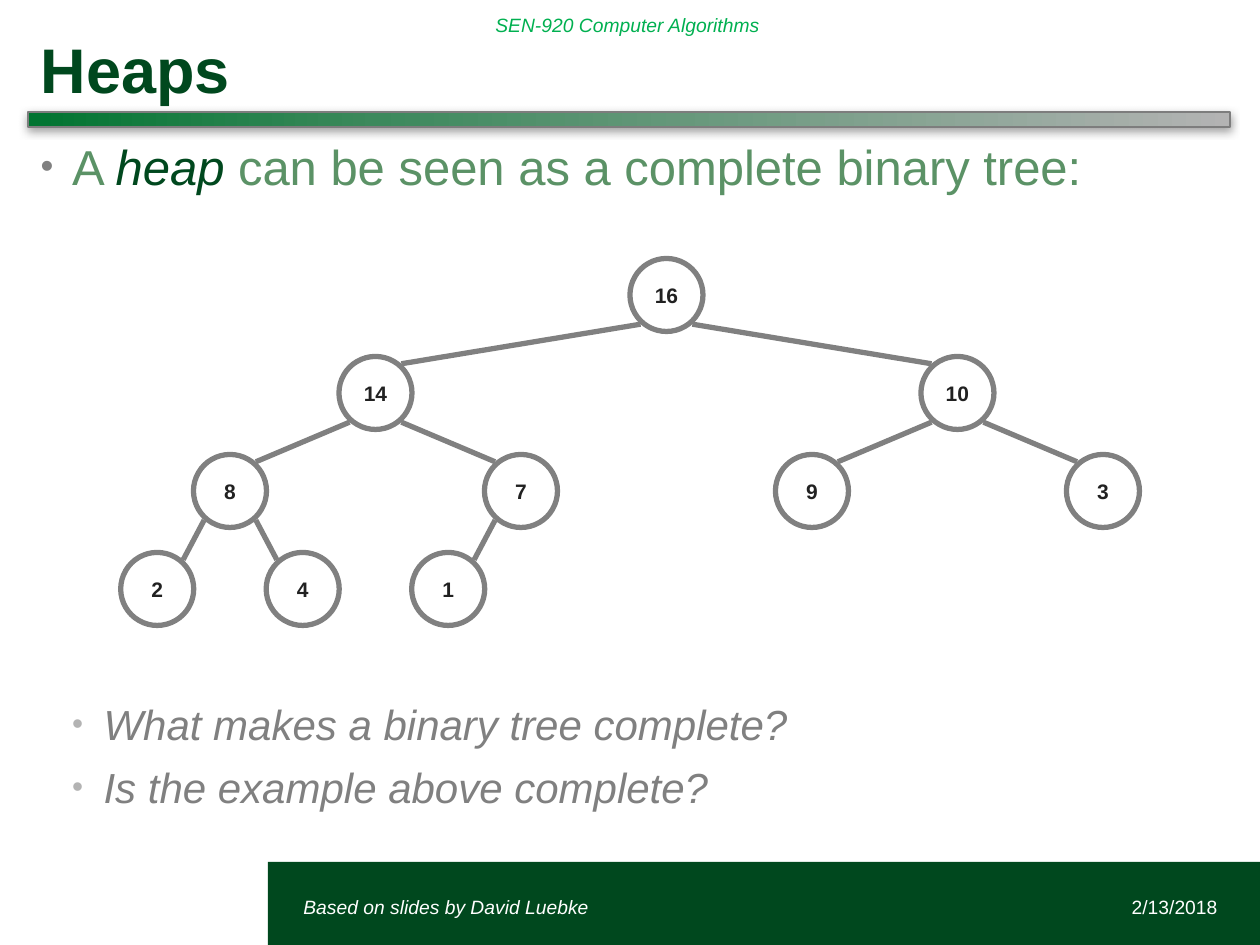
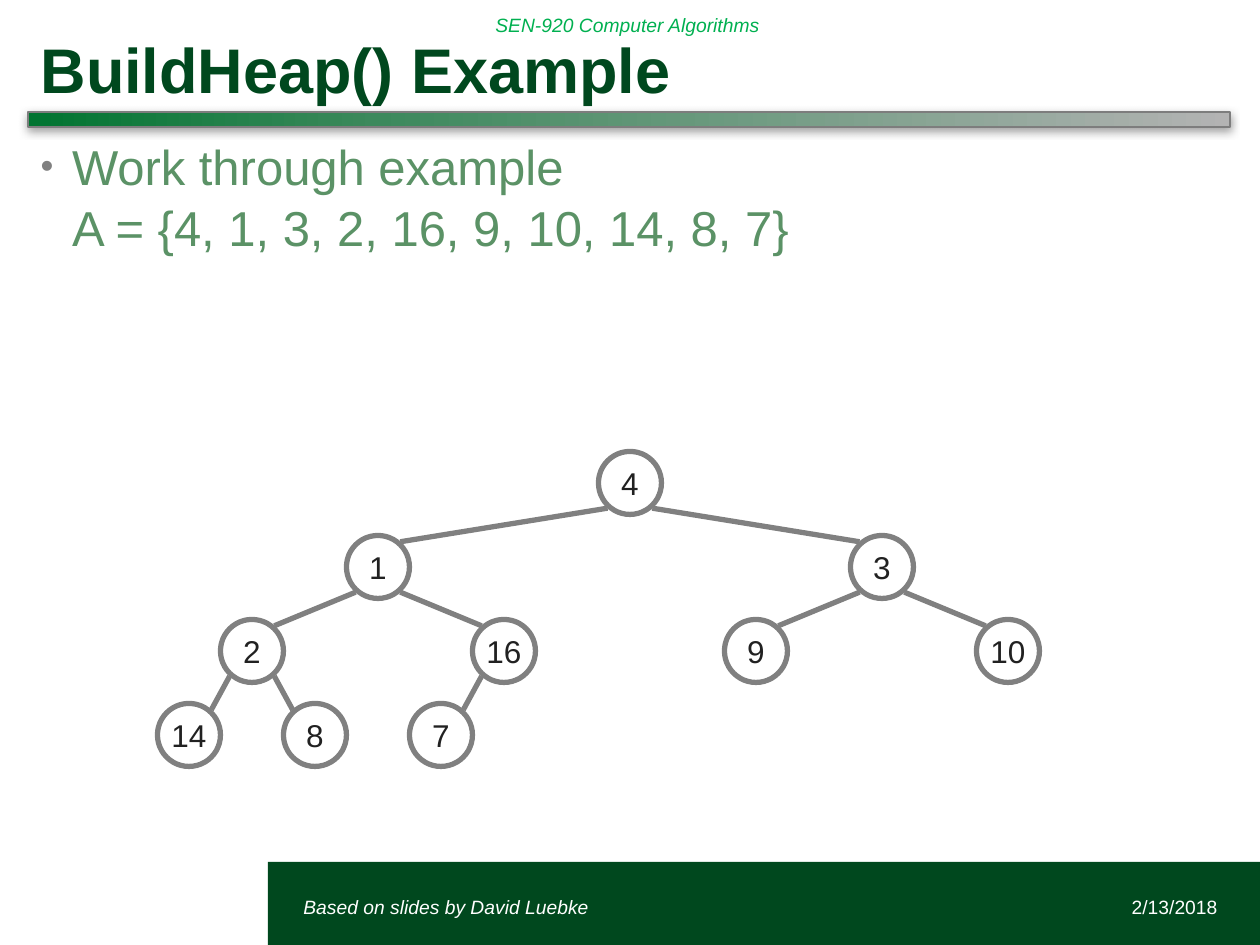
from copy import deepcopy
from lxml.etree import SubElement
from pptx import Presentation
from pptx.dml.color import RGBColor
from pptx.enum.shapes import MSO_CONNECTOR, MSO_SHAPE
from pptx.enum.text import MSO_ANCHOR, MSO_AUTO_SIZE, PP_ALIGN
from pptx.oxml.ns import qn
from pptx.util import Emu, Pt

PIXEL = 914400 // 126
FONT = "Arial"
DARK_GREEN, SOFT_GREEN, COURSE_GREEN = "00481E", "5B9266", "00B050"
GRAY, LIGHT_GRAY, INK, WHITE = "808080", "B3B3B3", "212121", "FFFFFF"
BAR_STOPS = [(0, "007430"), (0.29, "3C895C"), (1, LIGHT_GRAY)]


def area(left, top, width, height):
    return [Emu(round(value * PIXEL)) for value in (left, top, width, height)]


def style(font, size, color, bold=False, italic=False):
    font.name, font.size, font.bold, font.italic = FONT, Pt(size), bold, italic
    font.color.rgb = RGBColor.from_string(color)


# Content: body paragraphs are (level, space before, [(text, emphasis)])
pages = [
    {
        "title": "Heaps",
        "body": [
            (0, 0, [("A ", False), ("heap", True),
                    (" can be seen as a complete binary tree:", False)]),
            (1, 286, [("What makes a binary tree complete?", False)]),
            (1, 6, [("Is the example above complete?", False)]),
        ],
        "heap": [16, 14, 10, 8, 7, 9, 3, 2, 4, 1],
        "root": (666.5, 295), "span": 582, "drop": 98, "node": 73,
        "size": 12, "bold": True,
    },
    {
        "title": "BuildHeap() Example",
        "body": [
            (0, 0, [("Work through example\vA = {4, 1, 3, 2, 16, 9, 10, 14, 8, 7}", False)]),
        ],
        "heap": [4, 1, 3, 2, 16, 9, 10, 14, 8, 7],
        "root": (630, 483), "span": 504, "drop": 84, "node": 63,
        "size": 18, "bold": False,
    },
]
# Level: text size, text color, bullet color, italic
levels = [(28, SOFT_GREEN, GRAY, False), (24, GRAY, LIGHT_GRAY, True)]
# Text, place, color, italic, alignment
labels = [
    ("SEN-920 Computer Algorithms", (483, 0, 581, 50), COURSE_GREEN, True, PP_ALIGN.LEFT),
    ("Based on slides by David Luebke", (291, 882, 581, 50), WHITE, True, PP_ALIGN.LEFT),
    ("2/13/2018", (936, 882, 294, 50), WHITE, False, PP_ALIGN.RIGHT),
]

deck = Presentation()
deck.slide_width, deck.slide_height = area(0, 0, 1260, 945)[2:]

for page in pages:
    slide = deck.slides.add_slide(deck.slide_layouts[1])

    # Footer band
    band = slide.shapes.add_shape(MSO_SHAPE.RECTANGLE, *area(268, 862, 992, 83))
    band.shadow.inherit = False
    band.fill.solid()
    band.fill.fore_color.rgb = RGBColor.from_string(DARK_GREEN)
    band.line.fill.background()

    # Gradient bar under the title, with a soft shadow
    bar = slide.shapes.add_shape(MSO_SHAPE.RECTANGLE, *area(28, 112, 1202, 15))
    bar.fill.gradient()
    bar.fill.gradient_angle = 0
    stop_list = bar._element.spPr.find(".//" + qn("a:gsLst"))
    stop_list.insert(1, deepcopy(stop_list[0]))
    for stop, (position, color) in zip(bar.fill.gradient_stops, BAR_STOPS):
        stop.position = position
        stop.color.rgb = RGBColor.from_string(color)
    bar.line.color.rgb = RGBColor.from_string("7D7D7D")
    bar.line.width = Pt(1)
    bar.shadow.inherit = False
    effects = bar._element.spPr.find(qn("a:effectLst"))
    shadow = SubElement(effects, qn("a:outerShdw"), blurRad=str(Pt(5)),
                        dist=str(Pt(2)), dir="5400000", rotWithShape="0")
    shadow_color = SubElement(shadow, qn("a:srgbClr"), val=GRAY)
    SubElement(shadow_color, qn("a:alpha"), val="75000")

    # Course name, credit and date
    for text, place, color, italic, alignment in labels:
        box = slide.shapes.add_textbox(*area(*place))
        box.text_frame.word_wrap = True
        box.text_frame.vertical_anchor = MSO_ANCHOR.MIDDLE
        para = box.text_frame.paragraphs[0]
        para.text, para.alignment = text, alignment
        style(para.font, 11, color, italic=italic)

    # Title
    title = slide.shapes.title
    title.left, title.top, title.width, title.height = area(28, 20, 1202, 92)
    title.text_frame.vertical_anchor = MSO_ANCHOR.BOTTOM
    title.text_frame.auto_size = MSO_AUTO_SIZE.NONE
    para = title.text_frame.paragraphs[0]
    para.text, para.alignment = page["title"], PP_ALIGN.LEFT
    style(para.font, 36, DARK_GREEN, bold=True)

    # Bulleted body
    body = slide.placeholders[1]
    body.left, body.top, body.width, body.height = area(28, 127, 1202, 717)
    frame = body.text_frame
    frame.auto_size = MSO_AUTO_SIZE.NONE
    for index, (level, space, spans) in enumerate(page["body"]):
        size, color, bullet_color, italic = levels[level]
        para = frame.add_paragraph() if index else frame.paragraphs[0]
        properties = para._p.get_or_add_pPr()
        properties.set("marL", str(228600 * (level + 1)))
        properties.set("indent", "-228600")
        bullet = SubElement(properties, qn("a:buClr"))
        SubElement(bullet, qn("a:srgbClr"), val=bullet_color)
        SubElement(properties, qn("a:buSzPct"), val="75000")
        SubElement(properties, qn("a:buFont"), typeface=FONT)
        SubElement(properties, qn("a:buChar"), char="•")
        para.level, para.space_before, para.line_spacing = level, Pt(space), 1.05
        style(para.font, size, color, italic=italic)
        if len(spans) == 1:
            para.text = spans[0][0]
            continue
        for text, emphasis in spans:
            span = para.add_run()
            span.text = text
            style(span.font, size, DARK_GREEN if emphasis else color, italic=emphasis)

    # Heap nodes: each level halves the distance between neighbours
    root_x, root_y = page["root"]
    radius = page["node"] / 2
    centers = []
    for number, value in enumerate(page["heap"], start=1):
        depth = number.bit_length() - 1
        place = number - 2 ** depth
        x = root_x + page["span"] * ((2 * place + 1) / 2 ** depth - 1)
        y = root_y + depth * page["drop"]
        centers.append((x, y))
        node = slide.shapes.add_shape(
            MSO_SHAPE.OVAL, *area(x - radius, y - radius, page["node"], page["node"]))
        node.shadow.inherit = False
        node.fill.solid()
        node.fill.fore_color.rgb = RGBColor.from_string(WHITE)
        node.line.color.rgb = RGBColor.from_string(GRAY)
        node.line.width = Pt(3)
        node.text_frame.word_wrap = False
        node.text_frame.vertical_anchor = MSO_ANCHOR.MIDDLE
        para = node.text_frame.paragraphs[0]
        para.text, para.alignment = str(value), PP_ALIGN.CENTER
        style(para.font, page["size"], INK, bold=page["bold"])

    # Edges from the lower side of a parent to the upper side of its child
    for child in range(1, len(centers)):
        parent_x, parent_y = centers[(child - 1) // 2]
        child_x, child_y = centers[child]
        reach_x = 0.71 * radius * (-1 if child % 2 else 1)
        reach_y = 0.8 * radius
        edge = slide.shapes.add_connector(
            MSO_CONNECTOR.STRAIGHT,
            *area(parent_x + reach_x, parent_y + reach_y,
                  child_x - reach_x, child_y - reach_y))
        edge.line.color.rgb = RGBColor.from_string(GRAY)
        edge.line.width = Pt(3)
        SubElement(edge._element.spPr, qn("a:effectLst"))

deck.save("out.pptx")
